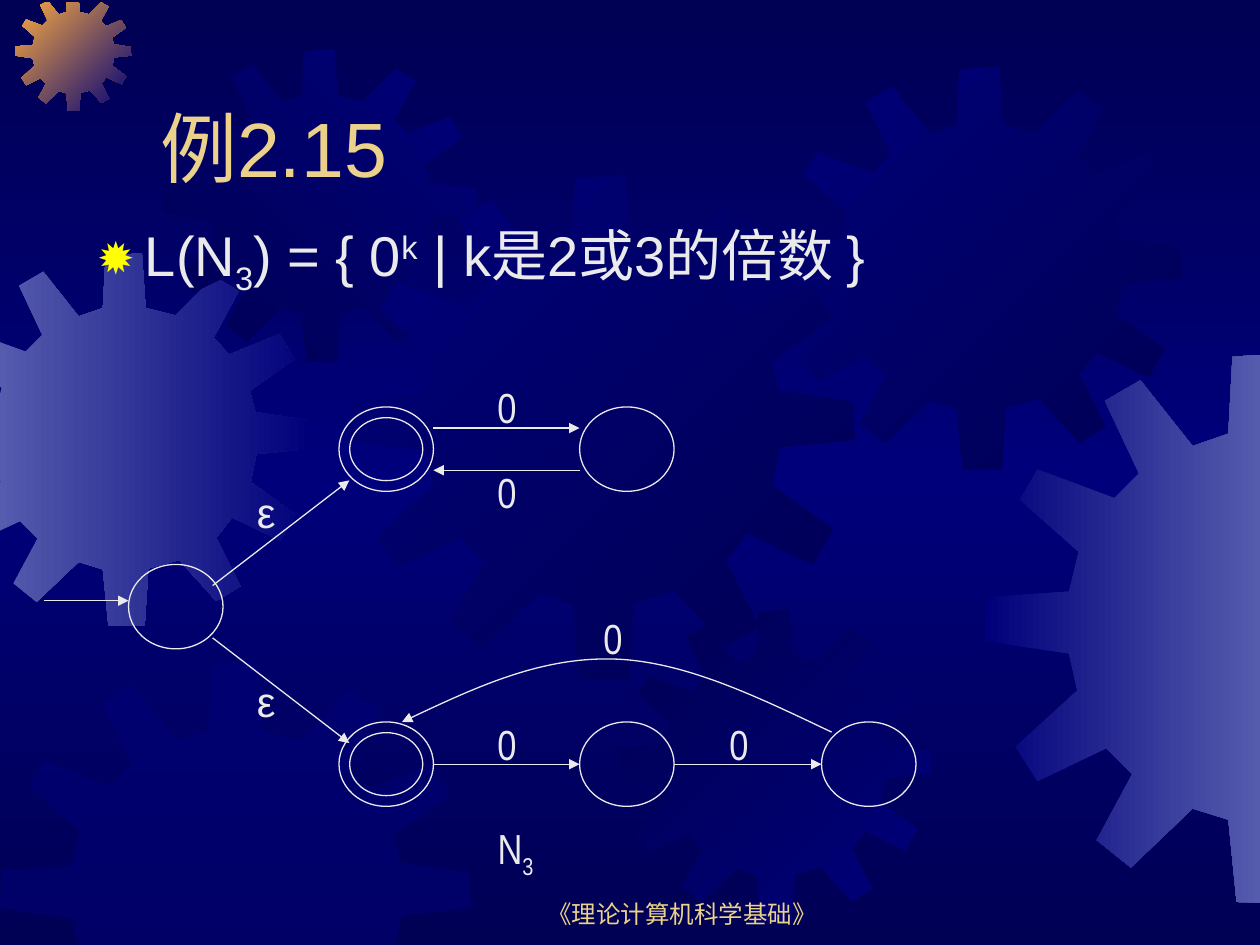
"""Build the slide for example 2.15: an NFA accepting multiples of 2 or 3."""
from copy import deepcopy

from lxml import etree
from pptx import Presentation
from pptx.dml.color import RGBColor
from pptx.enum.shapes import MSO_CONNECTOR, MSO_SHAPE
from pptx.enum.text import MSO_ANCHOR, MSO_AUTO_SIZE, PP_ALIGN
from pptx.oxml.ns import qn
from pptx.util import Inches, Pt

BOTTOM, TOP = MSO_ANCHOR.BOTTOM, MSO_ANCHOR.TOP
LEFT, CENTER = PP_ALIGN.LEFT, PP_ALIGN.CENTER
GROW, FIXED = MSO_AUTO_SIZE.SHAPE_TO_FIT_TEXT, MSO_AUTO_SIZE.NONE
OVAL, STRAIGHT = MSO_SHAPE.OVAL, MSO_CONNECTOR.STRAIGHT

COLORS = {"dark": "000054", "navy": "00007A", "steel": "555BAD", "orange": "FCAB40",
          "gold": "EBD189", "text": "EAEAEA", "bullet": "FFFF00"}
WIDTH, HEIGHT = 10, 7.5

TITLE = [("例2.15", 0)]
LANGUAGE = [("L(N", 0), ("3", -25), (") = { 0", 0), ("k", 30), (" | k是2或3的倍数 }", 0)]
FOOTER = [("《理论计算机科学基础》", 0)]

GEAR_SPAN = 401
GEAR = [(255, 67), (223, 59), (219, 0), (180, 3), (177, 59), (151, 68), (113, 20), (87, 35),
        (112, 88), (94, 106), (38, 85), (25, 107), (68, 145), (61, 174), (1, 178), (0, 210),
        (61, 219), (67, 246), (22, 287), (38, 312), (88, 288), (107, 307), (81, 355), (106, 375),
        (151, 332), (177, 340), (183, 400), (222, 401), (226, 339), (259, 330), (299, 374),
        (325, 358), (299, 306), (316, 284), (368, 309), (384, 281), (336, 246), (342, 216),
        (401, 210), (400, 180), (341, 171), (335, 148), (383, 114), (367, 87), (313, 109),
        (296, 91), (323, 41), (297, 25)]
GEARS = [(-0.49, 2.01, 2.96, ("steel", "navy"), 0), (0.12, -0.04, 0.92, ("orange", "navy"), 45),
         (1.3, 0.39, 2.48, ("dark", "navy"), 315), (2.77, 1.39, 4.01, ("navy", "dark"), 45),
         (0, 5.25, 3.74, ("navy",), 0), (4.91, 4.84, 2.48, ("dark", "navy"), 45),
         (6.18, 0.53, 3.2, ("navy", "dark"), 45), (7.82, 2.8, 4.37, ("navy", "steel"), 0)]
EDGES = [(0, 0, 1), (1, 0.02, 1), (0, WIDTH, -1), (1, HEIGHT, -1)]

STATE_W, STATE_H, RING = 0.75, 0.67, 0.085
COLUMNS = [1.02, 2.69, 4.6, 6.52]
ROWS = [3.23, 4.48, 5.73]
STATES = {"start": (0, 1), "even": (1, 0), "odd": (2, 0),
          "zero": (1, 2), "one": (2, 2), "two": (3, 2)}
ACCEPTING = {"even", "zero"}
ARROWS = [("start", (-0.89, 0.43), "start", (0, 0.43)),
          ("start", (0.89, 0.25), "even", (0.11, 0.87)),
          ("start", (0.89, 0.87), "zero", (0.11, 0.25)),
          ("even", (1, 0.25), "odd", (0, 0.25)),
          ("odd", (0, 0.75), "even", (1, 0.75)),
          ("zero", (1, 0.5), "one", (0, 0.5)),
          ("one", (1, 0.5), "two", (0, 0.5))]
RETURN_CURVE = [(6.6, 5.81), (6.01, 5.53), (5.42, 5.24), (4.85, 5.23),
                (4.28, 5.22), (3.74, 5.47), (3.19, 5.73)]
ZERO, EPSILON = [("0", 0)], [("ε", 0)]
LABELS = [(ZERO, 3.85, 2.98, 0.5), (ZERO, 3.85, 3.65, 0.5), (ZERO, 3.85, 5.65, 0.5),
          (ZERO, 5.69, 5.65, 0.5), (ZERO, 4.69, 4.81, 0.5),
          ([("N", 0), ("3", -25)], 3.85, 6.48, 0.58),
          (EPSILON, 1.94, 3.81, 0.33), (EPSILON, 1.94, 5.31, 0.33)]


def rgb(name):
    return RGBColor.from_string(COLORS[name])


def paint_gradient(fill, names, angle):
    fill.gradient()
    fill.gradient_angle = -angle % 360
    stops = fill.gradient_stops
    for stop, name, position in zip(stops, names, (0, 1)):
        stop.color.rgb = rgb(name)
        stop.position = position


def clip(points, axis, bound, sign):
    kept = []
    for a, b in zip(points, points[1:] + points[:1]):
        a_in, b_in = (sign * (p[axis] - bound) >= 0 for p in (a, b))
        if a_in:
            kept.append(a)
        if a_in != b_in:
            share = (bound - a[axis]) / (b[axis] - a[axis])
            kept.append(tuple(s + share * (e - s) for s, e in zip(a, b)))
    return kept


def outline(shapes, points, close):
    corners = [(Inches(x), Inches(y)) for x, y in points]
    builder = shapes.build_freeform(*corners[0], scale=1.0)
    builder.add_line_segments(corners[1:], close=close)
    shape = builder.convert_to_shape()
    shape.shadow.inherit = False
    return shape


def add_gear(shapes, left, top, size, names, angle):
    points = [(left + x / GEAR_SPAN * size, top + y / GEAR_SPAN * size) for x, y in GEAR]
    for edge in EDGES:
        points = clip(points, *edge)
    gear = outline(shapes, points, True)
    gear.line.fill.background()
    if len(names) == 2:
        paint_gradient(gear.fill, names, angle)
    else:
        gear.fill.solid()
        gear.fill.fore_color.rgb = rgb(names[0])
        color = gear.element.spPr.find(f"{qn('a:solidFill')}/{qn('a:srgbClr')}")
        etree.SubElement(color, qn("a:alpha"), val="50000")


def stroke(shape, arrow=False):
    shape.line.color.rgb = rgb("text")
    shape.line.width = Pt(0.75)
    if arrow:
        etree.SubElement(shape.element.spPr.find(qn("a:ln")), qn("a:tailEnd"), type="triangle")


def add_state(shapes, column, row, inset):
    state = shapes.add_shape(OVAL, Inches(COLUMNS[column] + inset), Inches(ROWS[row] + inset),
                             Inches(STATE_W - 2 * inset), Inches(STATE_H - 2 * inset))
    state.shadow.inherit = False
    state.fill.background()
    stroke(state)


def state_point(name, share):
    column, row = STATES[name]
    return Inches(COLUMNS[column] + share[0] * STATE_W), Inches(ROWS[row] + share[1] * STATE_H)


def add_return_curve(shapes):
    curve = outline(shapes, RETURN_CURVE, False)
    curve.fill.background()
    stroke(curve, True)
    segments = list(curve.element.iter(qn("a:lnTo")))
    for first in range(0, len(segments), 3):
        bezier = etree.Element(qn("a:cubicBezTo"))
        segments[first].addprevious(bezier)
        for segment in segments[first:first + 3]:
            bezier.append(segment[0])
            segment.getparent().remove(segment)


def write(shape, runs, box, size, color, font="Arial", anchor=TOP, align=LEFT, fit=FIXED):
    for side, length in zip(("left", "top", "width", "height"), box):
        setattr(shape, side, Inches(length))
    frame = shape.text_frame
    for key, value in {"word_wrap": True, "auto_size": fit, "vertical_anchor": anchor}.items():
        setattr(frame, key, value)
    paragraph = frame.paragraphs[0]
    paragraph.alignment = align
    paragraph.space_before = Pt(0)
    for words, baseline in runs:
        run = paragraph.add_run()
        run.text = words
        for key, value in {"size": Pt(size), "name": font}.items():
            setattr(run.font, key, value)
        run.font.color.rgb = rgb(color)
        if baseline:
            run.font._element.set("baseline", str(baseline * 1000))
    return paragraph


def add_bullet(paragraph):
    properties = paragraph._p.get_or_add_pPr()
    properties.set("marL", str(Inches(0.38)))
    properties.set("indent", str(-Inches(0.38)))
    bullet_color = etree.SubElement(properties, qn("a:buClr"))
    etree.SubElement(bullet_color, qn("a:srgbClr"), val=COLORS["bullet"])
    etree.SubElement(properties, qn("a:buSzPct"), val="80000")
    etree.SubElement(properties, qn("a:buChar"), char="✹")


def main():
    deck = Presentation()
    deck.slide_width, deck.slide_height = Inches(WIDTH), Inches(HEIGHT)
    slide = deck.slides.add_slide(deck.slide_layouts[1])
    shapes = slide.shapes
    paint_gradient(slide.background.fill, ("dark", "dark"), 90)
    first_stop = next(slide.element.iter(qn("a:gs")))
    middle = deepcopy(first_stop)
    middle.set("pos", "50000")
    middle[0].set("val", COLORS["navy"])
    first_stop.addnext(middle)

    for gear in GEARS:
        add_gear(shapes, *gear)
    title, body = shapes.title, slide.placeholders[1]
    for placeholder in (title, body):
        title.element.getparent().append(placeholder.element)
    write(title, TITLE, (1.17, 0.33, 8.5, 1.25), 44, "gold", anchor=BOTTOM)
    add_bullet(write(body, LANGUAGE, (0.67, 1.7, 8.5, 0.83), 32, "text"))
    write(shapes.add_textbox(0, 0, 0, 0), FOOTER, (3.83, 6.92, 3.17, 0.5), 14, "gold",
          anchor=BOTTOM, align=CENTER)

    for name, cell in STATES.items():
        for inset in (0, RING) if name in ACCEPTING else (0,):
            add_state(shapes, *cell, inset)
    for source, leave, target, enter in ARROWS:
        arrow = shapes.add_connector(STRAIGHT, *state_point(source, leave),
                                     *state_point(target, enter))
        stroke(arrow, True)
        etree.SubElement(arrow.element.spPr, qn("a:effectLst"))
    add_return_curve(shapes)
    for runs, left, top, width in LABELS:
        font = "Arial" if runs is EPSILON else "Arial Narrow"
        write(shapes.add_textbox(0, 0, 0, 0), runs, (left, top, width, 0.5), 24, "text",
              font=font, fit=GROW)
    deck.save("out.pptx")


if __name__ == "__main__":
    main()
